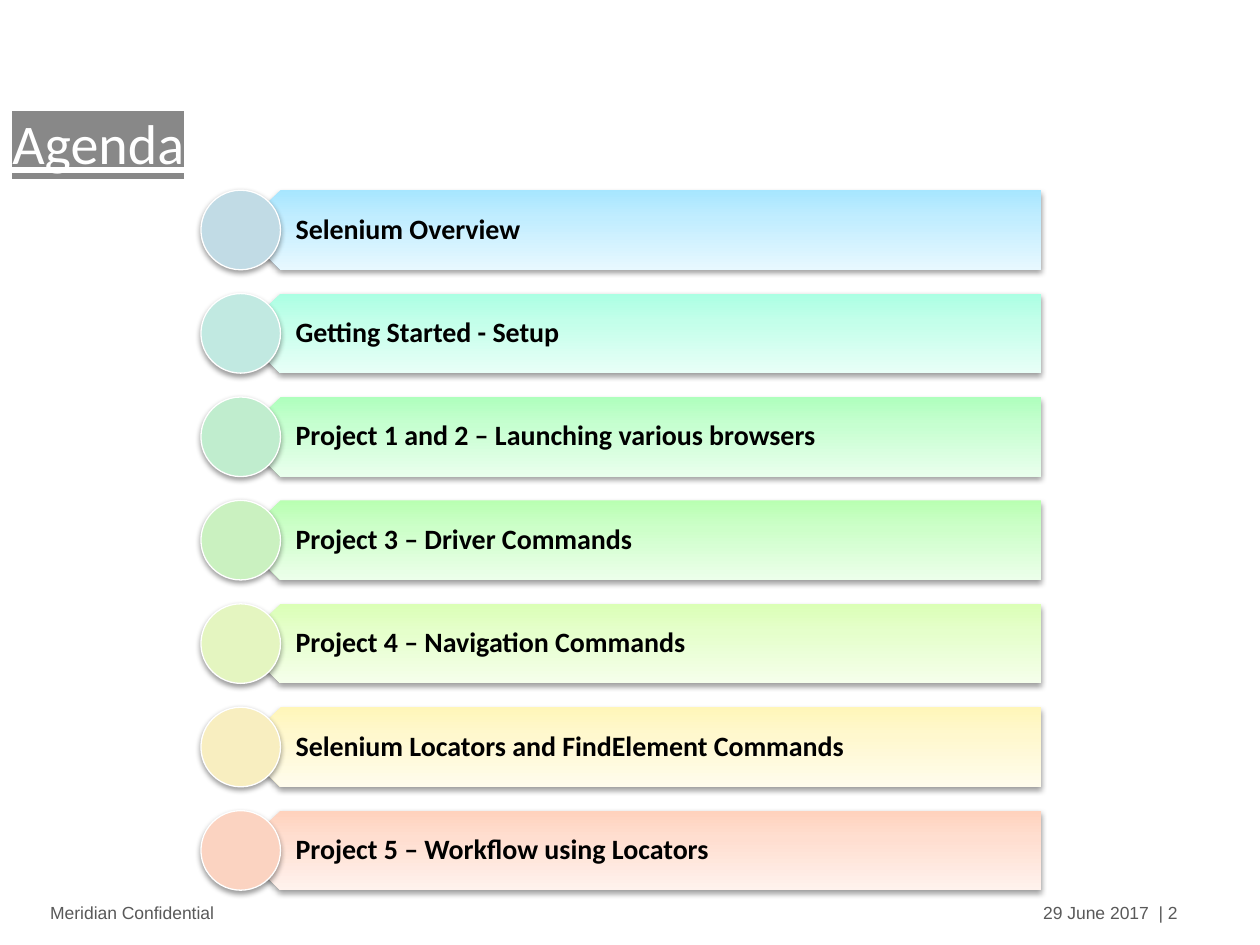
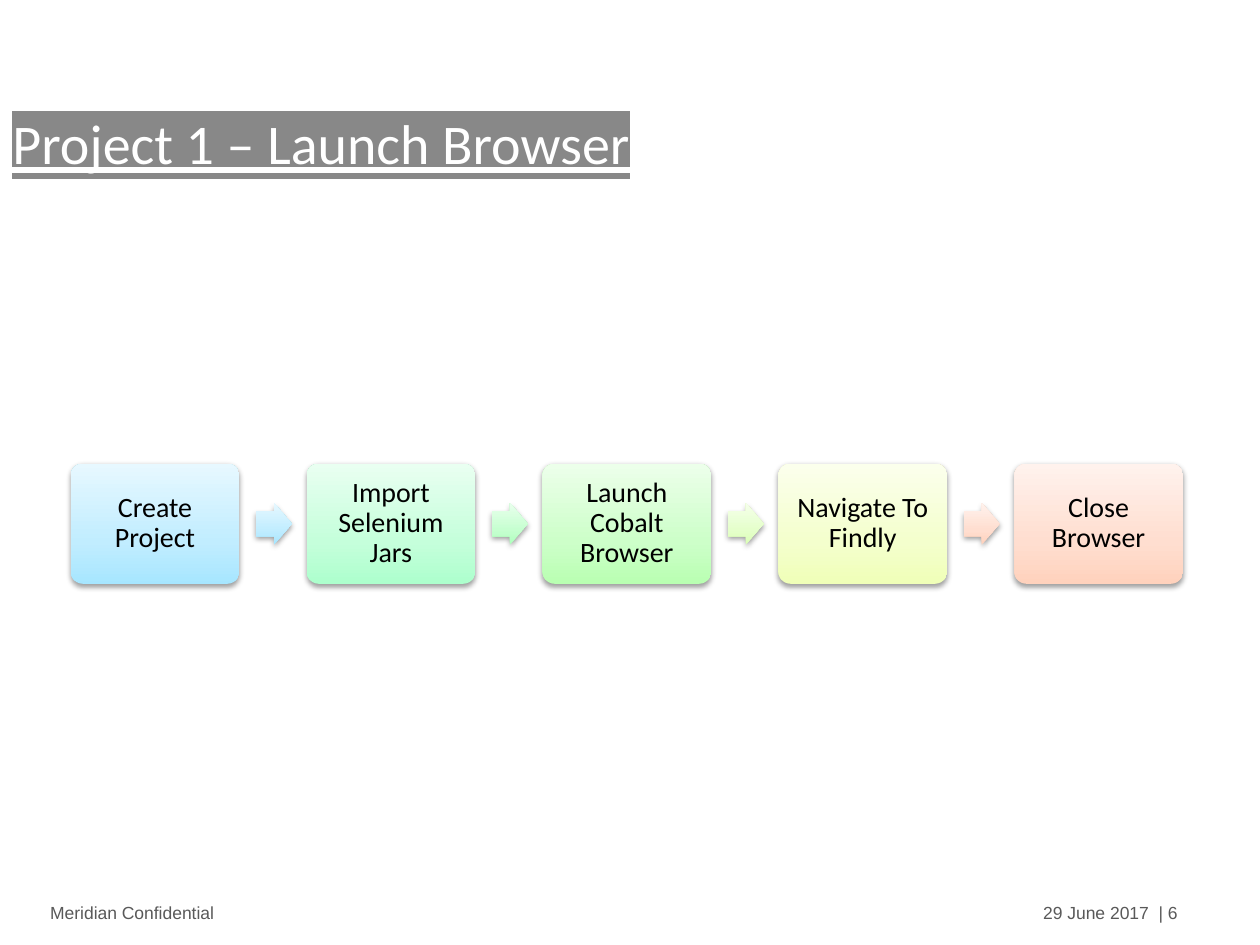
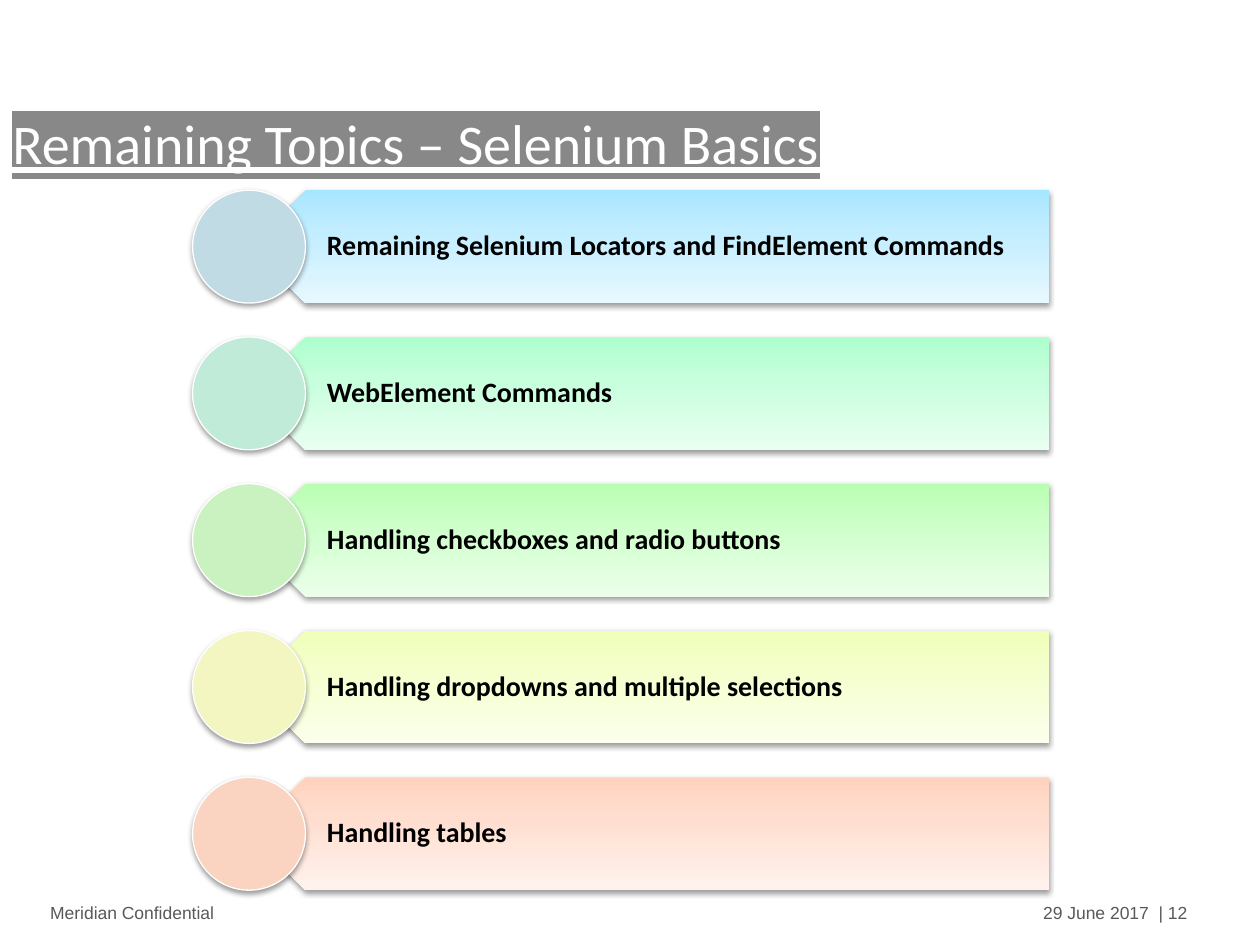
"""Build three training slides: an agenda, a process and a list of topics."""
from dataclasses import dataclass

import lxml.etree
import pptx
import pptx.dml.color
import pptx.enum.shapes
import pptx.enum.text
import pptx.oxml
import pptx.oxml.ns
import pptx.util

Pt = pptx.util.Pt
RGB = pptx.dml.color.RGBColor.from_string
Kind = pptx.enum.shapes.MSO_SHAPE
Align = pptx.enum.text.PP_ALIGN
Anchor = pptx.enum.text.MSO_ANCHOR


@dataclass(frozen=True)
class Tint:
    dark: str
    mid: str
    light: str
    dot: str


@dataclass(frozen=True)
class Face:
    name: str
    size: float
    color: str
    bold: bool = False
    line: bool = False


@dataclass(frozen=True)
class Box:
    left: float
    top: float
    width: float
    height: float


@dataclass(frozen=True)
class Theme:
    white: str = "FFFFFF"
    mark: str = "888888"
    title: Face = Face("Calibri", 32, "FFFFFF", line=True)
    foot: Face = Face("Arial", 10, "595959")
    step: Face = Face("Calibri", 16, "000000")
    topic: Face = Face("Calibri", 16, "000000", bold=True)
    sky: Tint = Tint("A7E6FF", "C1EDFF", "E7F8FF", "C1DBE5")
    aqua: Tint = Tint("ABFFE3", "C3FFEA", "E8FFF7", "C1E9E1")
    jade: Tint = Tint("ADFFCD", "C5FFDB", "E9FFF1", "C0EBD8")
    mint: Tint = Tint("AFFFBD", "C6FFD0", "E9FFED", "C0EDCE")
    leaf: Tint = Tint("B9FFB2", "CDFFC9", "ECFFEA", "CAF1C0")
    lime: Tint = Tint("DBFFB6", "E5FFCB", "F5FFEB", "E4F5C0")
    lemon: Tint = Tint("F0FFB8", "F4FFCD", "FBFFEC", "F3F6C0")
    sand: Tint = Tint("FFF6B9", "FFF8CE", "FFFCEC", "F8EEC0")
    coral: Tint = Tint("FFD2BD", "FFDED0", "FFF2ED", "FBD3C1")


@dataclass(frozen=True)
class Topic:
    text: str
    tint: Tint


@dataclass(frozen=True)
class Step:
    text: str
    tint: Tint
    arrow: Tint | None = None


THEME = Theme()
PLAIN = (7.2, 3.6, 7.2, 3.6)
NS = pptx.oxml.ns.nsdecls("a")
AGENDA = (
    Topic("Selenium Overview", THEME.sky),
    Topic("Getting Started - Setup", THEME.aqua),
    Topic("Project 1 and 2 – Launching various browsers", THEME.mint),
    Topic("Project 3 – Driver Commands", THEME.leaf),
    Topic("Project 4 – Navigation Commands", THEME.lime),
    Topic("Selenium Locators and FindElement Commands", THEME.sand),
    Topic("Project 5 – Workflow using Locators", THEME.coral),
)
STEPS = (
    Step("Create Project", THEME.sky, THEME.sky),
    Step("Import Selenium Jars", THEME.jade, THEME.mint),
    Step("Launch Cobalt Browser", THEME.leaf, THEME.lime),
    Step("Navigate To Findly", THEME.lemon, THEME.coral),
    Step("Close Browser", THEME.coral),
)
BASICS = (
    Topic("Remaining Selenium Locators and FindElement Commands", THEME.sky),
    Topic("WebElement Commands", THEME.jade),
    Topic("Handling checkboxes and radio buttons", THEME.leaf),
    Topic("Handling dropdowns and multiple selections", THEME.lemon),
    Topic("Handling tables", THEME.coral),
)


def place(box: Box) -> tuple:
    """Give the four lengths of a box."""
    return Pt(box.left), Pt(box.top), Pt(box.width), Pt(box.height)


def write(shape, text: str, face: Face, pads: tuple = PLAIN, align=Align.LEFT,
          anchor=Anchor.TOP, space: float = 1.0):
    """Write one paragraph in a shape and return its run."""
    frame = shape.text_frame
    frame.word_wrap = True
    frame.vertical_anchor = anchor
    (frame.margin_left, frame.margin_top,
     frame.margin_right, frame.margin_bottom) = map(Pt, pads)
    para = frame.paragraphs[0]
    para.alignment = align
    para.line_spacing = space
    font = para.font
    font.name, font.size = face.name, Pt(face.size)
    font.bold, font.underline = face.bold, face.line
    font.color.rgb = RGB(face.color)
    run = para.add_run()
    run.text = text
    return run


def label(slide, box: Box, text: str, face: Face, **style):
    """Add a text box and return its run."""
    return write(slide.shapes.add_textbox(*place(box)), text, face, **style)


def solid(slide, kind, box: Box):
    """Add a preset shape with a soft shadow below."""
    shape = slide.shapes.add_shape(kind, *place(box))
    shape.shadow.inherit = False
    glow = shape._element.spPr.find(pptx.oxml.ns.qn("a:effectLst"))
    glow.append(pptx.oxml.parse_xml(
        f'<a:outerShdw {NS} blurRad="40000" dist="20000" dir="5400000" '
        'rotWithShape="0"><a:srgbClr val="000000"><a:alpha val="38000"/>'
        '</a:srgbClr></a:outerShdw>'))
    return shape


def shade(slide, kind, box: Box, tint: Tint):
    """Add a shape without outline, shaded from dark below to light above."""
    shape = solid(slide, kind, box)
    shape.line.fill.background()
    stops = "".join(
        f'<a:gs pos="{pos}"><a:srgbClr val="{color}"/></a:gs>' for pos, color in
        ((0, tint.dark), (35000, tint.mid), (100000, tint.light)))
    fill = pptx.oxml.parse_xml(
        f'<a:gradFill {NS} rotWithShape="1"><a:gsLst>{stops}</a:gsLst>'
        '<a:lin ang="16200000" scaled="1"/></a:gradFill>')
    shape._element.spPr.find(pptx.oxml.ns.qn("a:prstGeom")).addnext(fill)
    return shape


def start(deck, title: str, page: int):
    """Add a slide with its title and footers."""
    slide = deck.slides.add_slide(deck.slide_layouts[6])
    label(slide, Box(589, 512, 143, 29), f"29 June 2017  | {page}", THEME.foot)
    label(slide, Box(21.6, 512, 180, 29), "Meridian Confidential", THEME.foot)
    run = label(slide, Box(0, 58.3, 720, 41), title, THEME.title)
    mark = lxml.etree.SubElement(
        run._r.get_or_add_rPr(), pptx.oxml.ns.qn("a:highlight"))
    lxml.etree.SubElement(
        mark, pptx.oxml.ns.qn("a:srgbClr"), val=THEME.mark)
    return slide


def stack(slide, topics: tuple[Topic, ...]) -> None:
    """Fill a fixed height with equal topic bars, each led by a circle."""
    top, span, width, mid = 108.7, 400, 457.2, 354.8
    size = span / (1 + 1.3 * (len(topics) - 1))
    left = mid - (width + size / 2) / 2
    for row, topic in enumerate(topics):
        y = top + row * 1.3 * size
        bar = Box(left + size / 2, y, width, size)
        shade(slide, Kind.PENTAGON, bar, topic.tint).rotation = 180
        label(slide, Box(bar.left + size / 4, y, width - size / 4, size),
              topic.text, THEME.topic, pads=(0.44 * size, 4.8, 8.5, 4.8),
              anchor=Anchor.MIDDLE, space=0.9)
        dot = solid(slide, Kind.OVAL, Box(left, y, size, size))
        dot.fill.solid()
        dot.fill.fore_color.rgb = RGB(topic.tint.dot)
        dot.line.color.rgb = RGB(THEME.white)
        dot.line.width = Pt(0.75)


def flow(slide, steps: tuple[Step, ...]) -> None:
    """Draw a row of steps with an arrow after each but the last."""
    left, top, width, height, pitch = 40.4, 265, 96.4, 68.6, 134.8
    wide, tall = 20.4, 23.9
    for col, step in enumerate(steps):
        x = left + col * pitch
        card = shade(slide, Kind.ROUNDED_RECTANGLE,
                     Box(x, top, width, height), step.tint)
        card.adjustments[0] = 0.1
        write(card, step.text, THEME.step, pads=(7, 7, 7, 7),
              align=Align.CENTER, anchor=Anchor.MIDDLE, space=0.9)
        if step.arrow:
            arrow = shade(slide, Kind.RIGHT_ARROW,
                          Box(x + width + 9.6, top + (height - tall) / 2,
                              wide, tall), step.arrow)
            arrow.adjustments[0] = 0.6


def main() -> None:
    """Build and save the deck."""
    deck = pptx.Presentation()
    deck.slide_width, deck.slide_height = Pt(720), Pt(540)
    stack(start(deck, "Agenda", 2), AGENDA)
    flow(start(deck, "Project 1 – Launch Browser", 6), STEPS)
    stack(start(deck, "Remaining Topics – Selenium Basics", 12), BASICS)
    deck.save("out.pptx")


if __name__ == "__main__":
    main()
